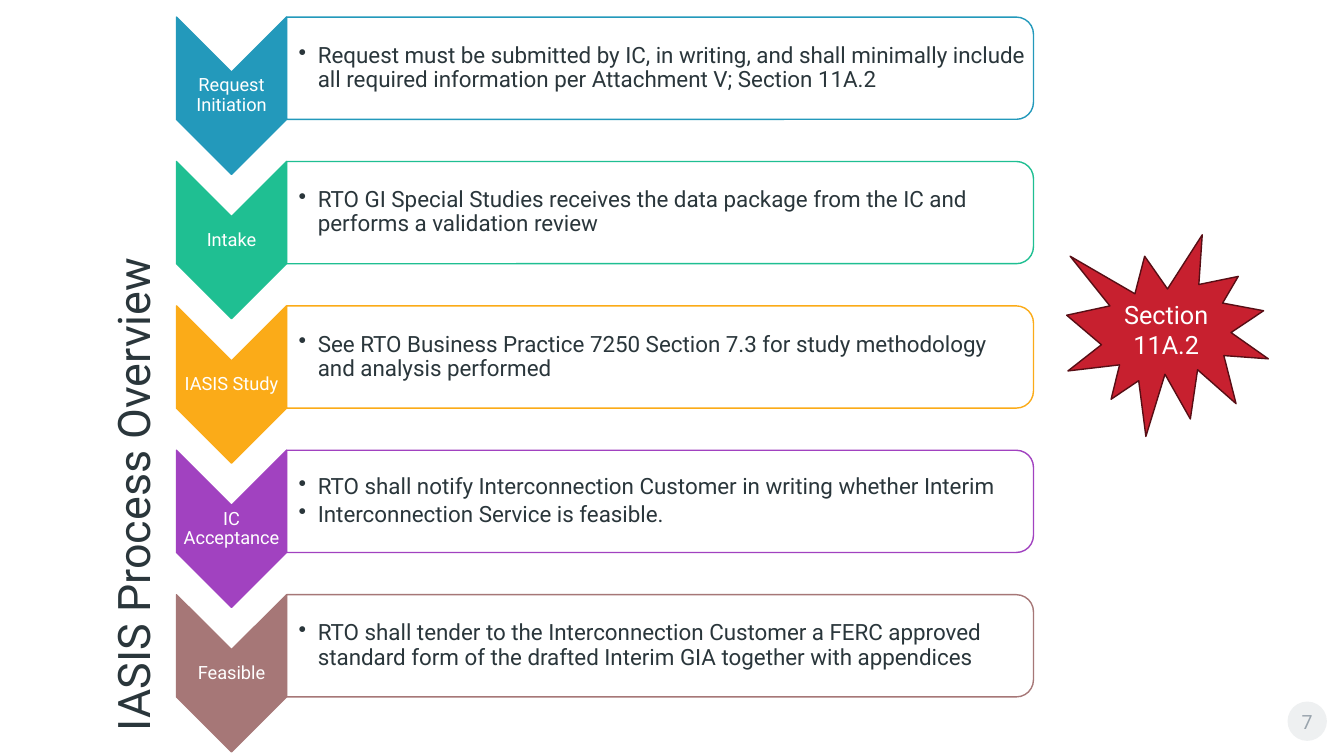
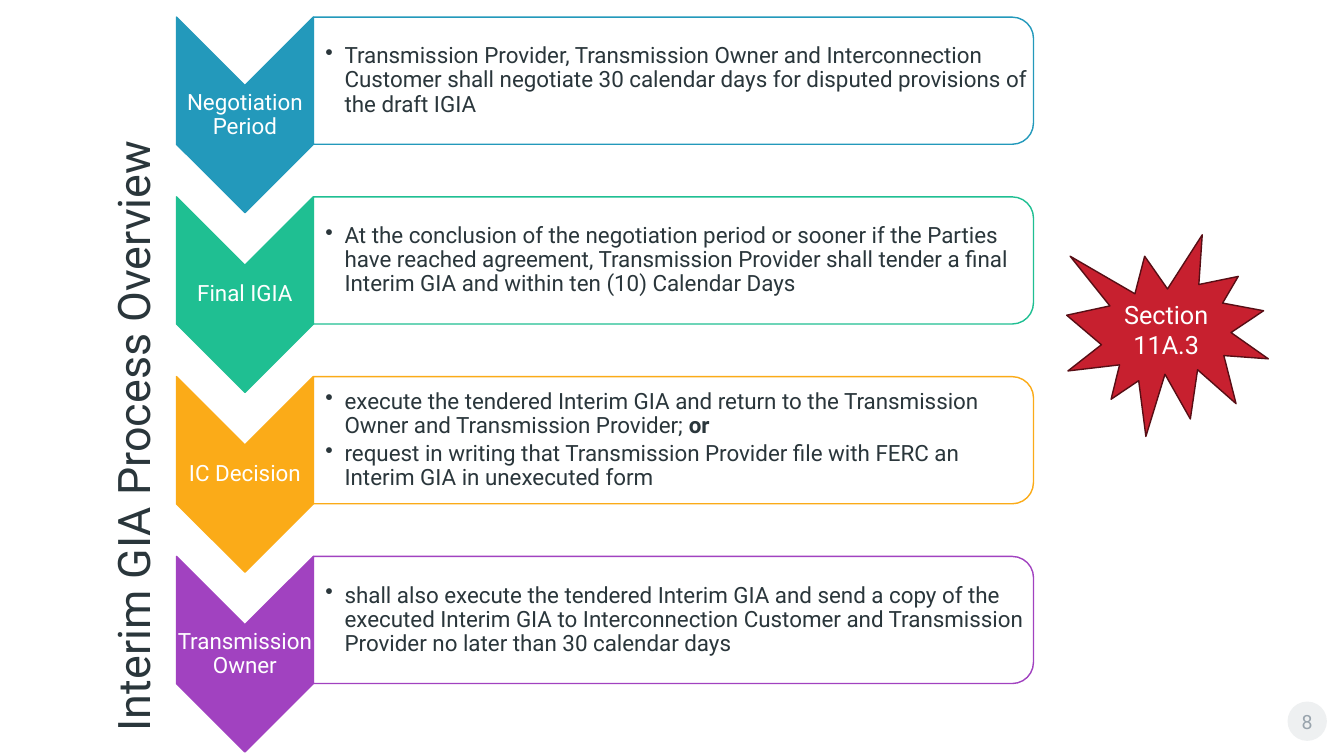
from dataclasses import dataclass

from lxml import etree
from pptx import Presentation
from pptx.dml.color import RGBColor
from pptx.enum.shapes import MSO_SHAPE
from pptx.enum.text import MSO_ANCHOR, MSO_AUTO_SIZE, PP_ALIGN
from pptx.oxml.ns import qn
from pptx.util import Inches, Pt

CHEVRON = MSO_SHAPE.CHEVRON
PANEL = MSO_SHAPE.ROUND_2_SAME_RECTANGLE
BURST = MSO_SHAPE.EXPLOSION1
OVAL = MSO_SHAPE.OVAL
MIDDLE = MSO_ANCHOR.MIDDLE
LEFT, CENTER = PP_ALIGN.LEFT, PP_ALIGN.CENTER
NO_AUTOFIT = MSO_AUTO_SIZE.NONE


@dataclass(frozen=True)
class Theme:
    font: str = "Roboto"
    ink: str = "2A363B"
    white: str = "FFFFFF"
    steps: tuple = ("2399BB", "1FBF92", "FBAB18", "A142C0", "A67777")
    burst: str = "C7202F"
    burst_line: str = "570E15"
    badge: str = "EEF0F1"
    badge_text: str = "99A4AD"
    title_size: int = 32
    burst_size: int = 18
    body_size: int = 16
    badge_size: int = 14


THEME = Theme()

# Content: each step is a label and its bullets; a bullet is a list of (text, bold) runs
SLIDES = [
    {
        "title": "IASIS Process Overview", "section": "Section 11A.2", "number": 7,
        "chevron_height": 1.56, "label_size": 13,
        "steps": [
            ("Request Initiation", [[("Request must be submitted by IC, in writing, and shall minimally "
                                      "include all required information per Attachment V; Section 11A.2", False)]]),
            ("Intake", [[("RTO GI Special Studies receives the data package from the IC and "
                          "performs a validation review", False)]]),
            ("IASIS Study", [[("See RTO Business Practice 7250 Section 7.3 for study methodology "
                               "and analysis performed", False)]]),
            ("IC Acceptance", [[("RTO shall notify Interconnection Customer in writing whether Interim", False)],
                               [("Interconnection Service is feasible.", False)]]),
            ("Feasible", [[("RTO shall tender to the Interconnection Customer a FERC approved "
                            "standard form of the drafted Interim GIA together with appendices", False)]]),
        ],
    },
    {
        "title": "Interim GIA Process Overview", "section": "Section 11A.3", "number": 8,
        "chevron_height": 1.94, "label_size": 16,
        "steps": [
            ("Negotiation Period", [[("Transmission Provider, Transmission Owner and Interconnection Customer "
                                      "shall negotiate 30 calendar days for disputed provisions of the draft IGIA",
                                      False)]]),
            ("Final IGIA", [[("At the conclusion of the negotiation period or sooner if the Parties have reached "
                              "agreement, Transmission Provider shall tender a final Interim GIA and within "
                              "ten (10) Calendar Days", False)]]),
            ("IC Decision", [[("execute the tendered Interim GIA and return to the Transmission Owner "
                               "and Transmission Provider; ", False), ("or", True)],
                             [("request in writing that Transmission Provider file with FERC an "
                               "Interim GIA in unexecuted form", False)]]),
            ("Transmission Owner", [[("shall also execute the tendered Interim GIA and send a copy of the executed "
                                      "Interim GIA to Interconnection Customer and Transmission Provider "
                                      "no later than 30 calendar days", False)]]),
        ],
    },
]

# Step column: everything scales from the chevron height
COLUMN_LEFT, COLUMN_RIGHT = 1.75, 10.25
COLUMN_TOP, COLUMN_BOTTOM = 0.17, 7.46
CHEVRON_WIDTH, PANEL_HEIGHT = 0.7, 0.65
LABEL_TOP, LABEL_HEIGHT = 0.35, 0.3
PANEL_MARGIN = 0.05
BULLET_INDENT = 0.19
TITLE_BOX = (-2.39, 3.08, 7.52, 1.03)
BURST_BOX = (10.58, 2.33, 2, 2)
BADGE_BOX = (12.77, 6.96, 0.39, 0.39)


def set_all(target, values):
    for name, value in values.items():
        setattr(target, name, value)


def place(shape, box):
    set_all(shape, dict(zip(("left", "top", "width", "height"), map(Inches, box))))


def write(shape, paragraphs, size, color, align=CENTER, spacing=1.0, insets=(0.1, 0.05, 0.1, 0.05), bullets=False):
    """Fill a shape with paragraphs, each a list of (text, bold) runs."""
    frame = shape.text_frame
    margins = ("margin_left", "margin_top", "margin_right", "margin_bottom")
    set_all(frame, {"word_wrap": True, "auto_size": NO_AUTOFIT, "vertical_anchor": MIDDLE,
                    **dict(zip(margins, map(Inches, insets)))})
    for index, runs in enumerate(paragraphs):
        paragraph = frame.add_paragraph() if index else frame.paragraphs[0]
        if bullets:
            properties = paragraph._p.get_or_add_pPr()
            properties.set("marL", str(Inches(BULLET_INDENT)))
            properties.set("indent", str(-Inches(BULLET_INDENT)))
            etree.SubElement(properties, qn("a:buChar")).set("char", "•")
            paragraph.space_after = Pt(2.88)
        set_all(paragraph, {"alignment": align, "line_spacing": spacing})
        for text, bold in runs:
            run = paragraph.add_run()
            run.text = text
            set_all(run.font, {"name": THEME.font, "size": Pt(size), "bold": bold})
            run.font.color.rgb = RGBColor.from_string(color)


def add_shape(slide, kind, box, fill, line=None):
    shape = slide.shapes.add_shape(kind, *map(Inches, box))
    shape.shadow.inherit = False
    shape.fill.solid()
    shape.fill.fore_color.rgb = RGBColor.from_string(fill)
    if line:
        shape.line.color.rgb = RGBColor.from_string(line)
        shape.line.width = Pt(1)
    else:
        shape.line.fill.background()
    return shape


def add_turned(slide, kind, box, fill, line):
    """Add a shape turned by 90 degrees so that it covers the given box."""
    left, top, width, height = box
    shift = (width - height) / 2
    shape = add_shape(slide, kind, (left + shift, top - shift, height, width), fill, line)
    shape.rotation = 90
    return shape


def add_text(slide, box, paragraphs, size, color, **options):
    write(slide.shapes.add_textbox(*map(Inches, box)), paragraphs, size, color, **options)


def add_step(slide, top, height, label, bullets, label_size, color):
    width = CHEVRON_WIDTH * height
    panel_left = COLUMN_LEFT + width
    panel_width, panel_height = COLUMN_RIGHT - panel_left, PANEL_HEIGHT * height

    # Chevron and its label
    add_turned(slide, CHEVRON, (COLUMN_LEFT, top, width, height), color, color)
    add_text(slide, (COLUMN_LEFT, top + LABEL_TOP * height, width, LABEL_HEIGHT * height),
             [[(label, False)]], label_size, THEME.white, spacing=0.9, insets=(0.01,) * 4)

    # Slightly transparent panel and its bullets
    panel = add_turned(slide, PANEL, (panel_left, top, panel_width, panel_height), THEME.white, color)
    fill_color = panel._element.spPr.find(qn("a:solidFill"))[0]
    etree.SubElement(fill_color, qn("a:alpha")).set("val", "90000")
    add_text(slide, (panel_left, top + PANEL_MARGIN, panel_width - PANEL_MARGIN, panel_height - 2 * PANEL_MARGIN),
             bullets, THEME.body_size, THEME.ink, align=LEFT, spacing=0.9,
             insets=(0.12, 0.01, 0.01, 0.01), bullets=True)


def add_slide(presentation, content):
    slide = presentation.slides.add_slide(presentation.slide_layouts[5])

    # Page number badge
    badge = add_shape(slide, OVAL, BADGE_BOX, THEME.badge)
    write(badge, [[(str(content["number"]), False)]], THEME.badge_size, THEME.badge_text, insets=(0,) * 4)

    # Title running up the left side
    title = slide.shapes.title
    place(title, TITLE_BOX)
    title.rotation = 270
    write(title, [[(content["title"], False)]], THEME.title_size, THEME.ink, align=LEFT, spacing=0.75)

    # Steps spread evenly down the column
    steps, height = content["steps"], content["chevron_height"]
    pitch = (COLUMN_BOTTOM - COLUMN_TOP - height) / (len(steps) - 1)
    for index, ((label, bullets), color) in enumerate(zip(steps, THEME.steps)):
        add_step(slide, COLUMN_TOP + index * pitch, height, label, bullets, content["label_size"], color)

    # Section burst
    burst = add_shape(slide, BURST, BURST_BOX, THEME.burst, THEME.burst_line)
    write(burst, [[(content["section"], False)]], THEME.burst_size, THEME.white)


def main():
    presentation = Presentation()
    set_all(presentation, {"slide_width": Inches(13.33), "slide_height": Inches(7.5)})
    for content in SLIDES:
        add_slide(presentation, content)
    presentation.save("out.pptx")


if __name__ == "__main__":
    main()
